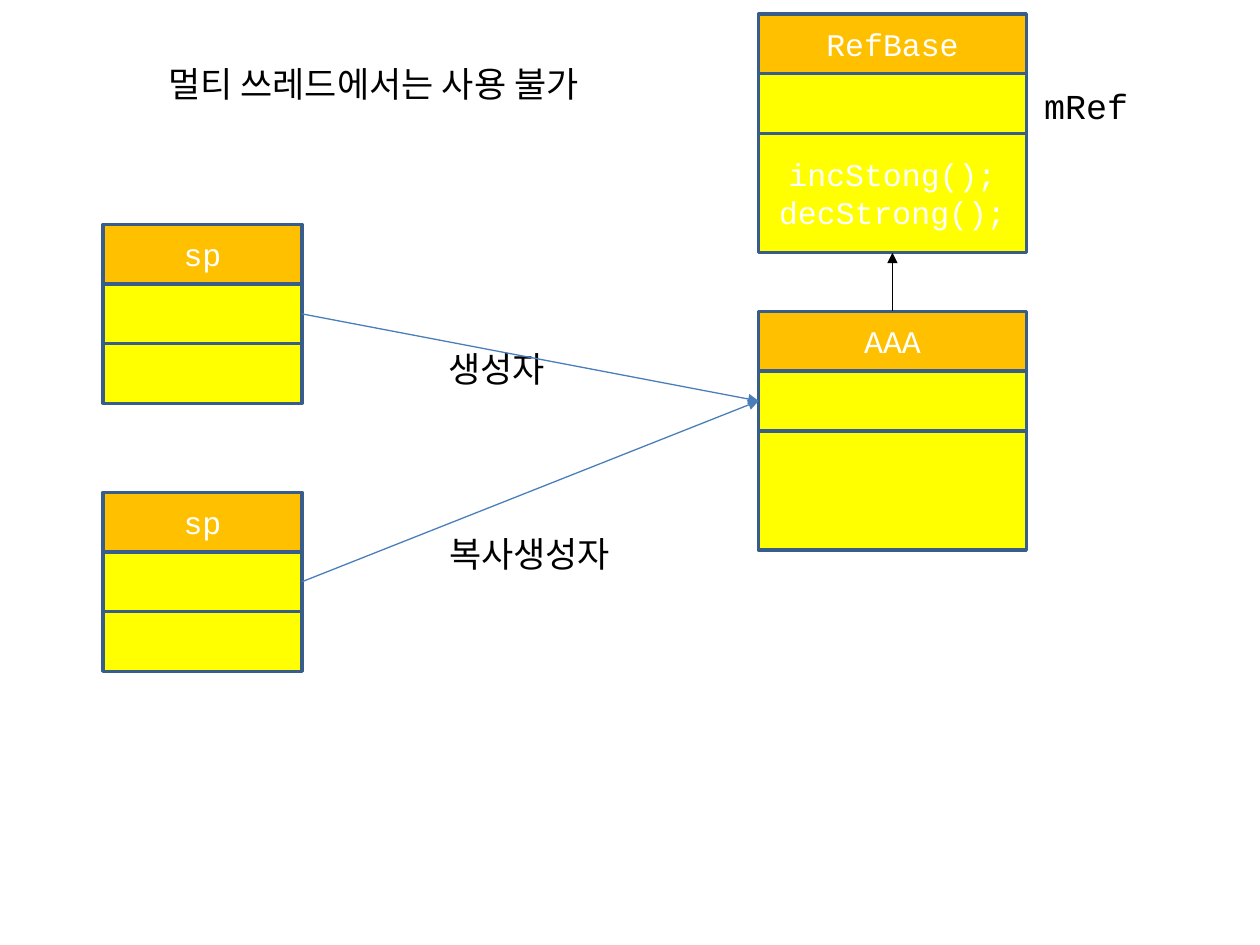
from lxml.etree import SubElement
from pptx import Presentation
from pptx.dml.color import RGBColor
from pptx.enum.shapes import MSO_CONNECTOR, MSO_SHAPE
from pptx.enum.text import MSO_ANCHOR, MSO_AUTO_SIZE, PP_ALIGN
from pptx.oxml.ns import qn
from pptx.util import Pt

ORANGE = RGBColor(0xFF, 0xC0, 0x00)
YELLOW = RGBColor(0xFF, 0xFF, 0x00)
NAVY = RGBColor(0x38, 0x5D, 0x8A)
BLUE = RGBColor(0x4A, 0x7E, 0xBB)
WHITE = RGBColor(0xFF, 0xFF, 0xFF)
BLACK = RGBColor(0, 0, 0)

FONT = "Courier New"
ROW = 34.1
TOP, LEFT, BOTTOM, RIGHT = range(4)  # connection sites of a rectangle


def write(tf, text, size, color, align):
    tf.text = text
    for p in tf.paragraphs:
        p.alignment = align
        p.font.name = FONT
        p.font.size = Pt(size)
        p.font.color.rgb = color


def add_cell(slide, x, y, w, h, fill, text):
    sp = slide.shapes.add_shape(MSO_SHAPE.RECTANGLE, Pt(x), Pt(y), Pt(w), Pt(h))
    sp.shadow.inherit = False
    sp.fill.solid()
    sp.fill.fore_color.rgb = fill
    sp.line.color.rgb = NAVY
    sp.line.width = Pt(2)
    if text:
        sp.text_frame.vertical_anchor = MSO_ANCHOR.MIDDLE
        write(sp.text_frame, text, 18, WHITE, PP_ALIGN.CENTER)
    return sp


def add_class(slide, x, y, w, name, methods="", method_rows=1):
    """Stack name, field and method cells; return them from top to bottom."""
    rows = [(name, ORANGE, 1), ("", YELLOW, 1), (methods, YELLOW, method_rows)]
    cells = []
    for text, fill, count in rows:
        cells.append(add_cell(slide, x, y, w, count * ROW, fill, text))
        y += count * ROW
    return cells


def add_label(slide, x, y, w, text):
    tf = slide.shapes.add_textbox(Pt(x), Pt(y), Pt(w), Pt(31.5)).text_frame
    tf.word_wrap = False
    tf.auto_size = MSO_AUTO_SIZE.SHAPE_TO_FIT_TEXT
    write(tf, text, 20, BLACK, PP_ALIGN.LEFT)


def add_arrow(slide, start, start_site, end, end_site, color):
    line = slide.shapes.add_connector(MSO_CONNECTOR.STRAIGHT, 0, 0, 0, 0)
    line.begin_connect(start, start_site)
    line.end_connect(end, end_site)
    line.line.color.rgb = color
    line.line.width = Pt(0.75)
    SubElement(line.line._get_or_add_ln(), qn("a:tailEnd"), type="triangle")
    SubElement(line._element.spPr, qn("a:effectLst"))


def main():
    prs = Presentation()
    prs.slide_width, prs.slide_height = Pt(720), Pt(540)
    slide = prs.slides.add_slide(prs.slide_layouts[6])

    aaa = add_class(slide, 433.5, 178, 153, "AAA", method_rows=2)
    pointers = [add_class(slide, 59, y, 113.5, "sp") for y in (128.2, 281.3)]
    ref_base = add_class(slide, 433.5, 8, 153, "RefBase",
                         "incStong();\ndecStrong();", 2)

    add_label(slide, 249, 195, 70, "생성자")
    add_label(slide, 249.5, 300.5, 106.5, "복사생성자")
    add_label(slide, 89, 32, 276, "멀티 쓰레드에서는 사용 불가")
    add_label(slide, 589.5, 44.5, 62.5, "mRef")

    for pointer in pointers:
        add_arrow(slide, pointer[1], RIGHT, aaa[1], LEFT, BLUE)
    add_arrow(slide, aaa[0], TOP, ref_base[2], BOTTOM, BLACK)

    prs.save("out.pptx")


if __name__ == "__main__":
    main()
